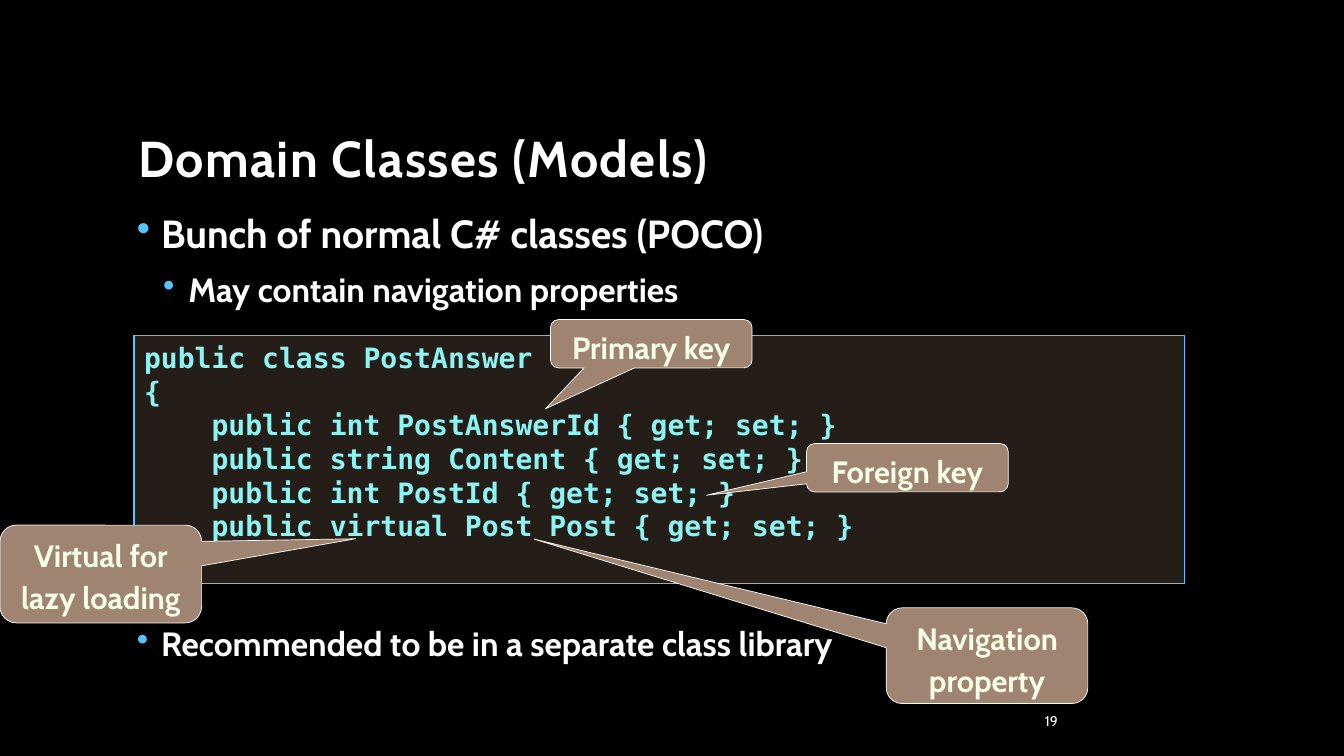
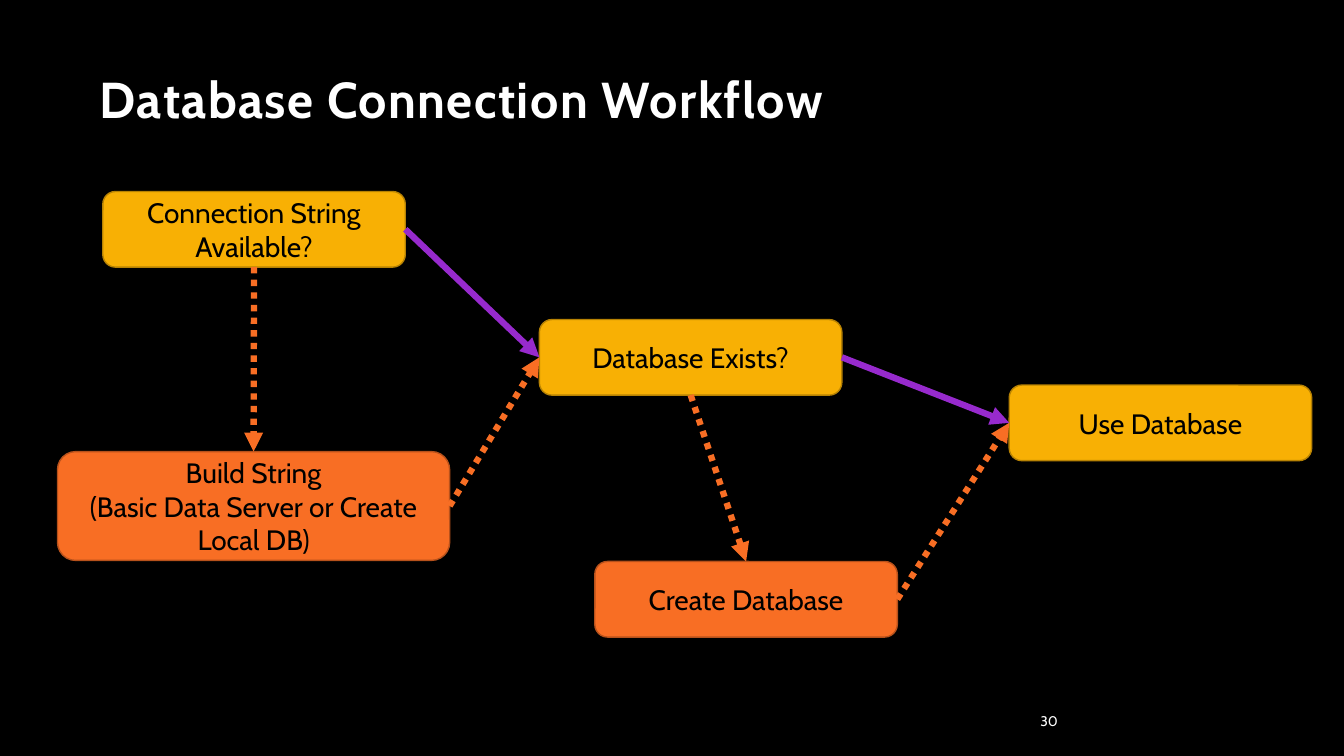
from lxml.etree import SubElement
from pptx import Presentation
from pptx.dml.color import RGBColor
from pptx.enum.dml import MSO_LINE as Dash
from pptx.enum.shapes import MSO_CONNECTOR as Link, MSO_SHAPE as Kind
from pptx.enum.text import MSO_ANCHOR as Anchor, MSO_AUTO_SIZE as Fit, PP_ALIGN as Align
from pptx.oxml.ns import qn
from pptx.util import Inches, Pt


class Theme:
    # Fonts
    sans, mono = "Cabin", "DejaVu Sans Mono"
    # Colours
    back, white, black = "000000", "FFFFFF", "000000"
    blue, cyan, peach = "56C5FF", "8CF4F2", "FCC5A7"
    tan, cream = "9F8471", "F7FFE7"
    gold, bronze = "F8B004", "B78203"
    orange, rust, purple = "F86E24", "B7511B", "972ACD"
    # Type sizes
    title, lead, body, call, node, page = 36, 28, 24, 22, 20, 10


TOP, LEFT, BOTTOM, RIGHT = range(4)

CODE = """public class PostAnswer
{
    public int PostAnswerId { get; set; }
    public string Content { get; set; }
    public int PostId { get; set; }
    public virtual Post Post { get; set; }
}"""


def rgb(tone):
    return RGBColor.from_string(tone)


def inches(*nums):
    return [Inches(n) for n in nums]


def write(para, text, size=Theme.body, face=Theme.sans, tone=Theme.white,
          bold=False, align=Align.LEFT, lead=None, before=None, track=None):
    """Fill one paragraph; a newline in the text is a line break."""
    para.text = text
    para.alignment = align
    if lead:
        para.line_spacing = lead
    if before:
        para.space_before = Pt(before)
    for run in para.runs:
        font = run.font
        font.name, font.size, font.bold = face, Pt(size), bold
        font.color.rgb = rgb(tone)
        if track:
            font._element.set("spc", str(track * 100))


def setup(frame, anchor=Anchor.TOP):
    frame.word_wrap = True
    frame.auto_size = Fit.NONE
    frame.vertical_anchor = anchor
    return frame


def text_box(slide, spot, anchor=Anchor.TOP):
    return setup(slide.shapes.add_textbox(*inches(*spot)).text_frame, anchor)


def shape(slide, kind, spot, fill, edge, width=1):
    item = slide.shapes.add_shape(kind, *inches(*spot))
    item.shadow.inherit = False
    item.fill.solid()
    item.fill.fore_color.rgb = rgb(fill)
    item.line.color.rgb = rgb(edge)
    item.line.width = Pt(width)
    return item


def start(deck, title, spot, page):
    """Add a slide with its title and page number."""
    slide = deck.slides.add_slide(deck.slide_layouts[5])
    head = slide.shapes.title
    head.left, head.top, head.width, head.height = inches(*spot)
    frame = setup(head.text_frame, Anchor.BOTTOM)
    write(frame.paragraphs[0], title, size=Theme.title, bold=True, lead=0.9, track=1)
    foot = text_box(slide, (9, 7, 1.59, 0.3), Anchor.MIDDLE)
    write(foot.paragraphs[0], page, size=Theme.page, align=Align.RIGHT)
    return slide


def bullets(slide, spot, rows):
    frame = text_box(slide, spot)
    for i, (text, size, left, hang, before) in enumerate(rows):
        para = frame.add_paragraph() if i else frame.paragraphs[0]
        props = para._p.get_or_add_pPr()
        props.set("marL", str(Inches(left)))
        props.set("indent", str(-Inches(hang)))
        SubElement(SubElement(props, qn("a:buClr")), qn("a:srgbClr"), val=Theme.blue)
        SubElement(props, qn("a:buChar"), char="•")
        write(para, text, size=size, bold=True, lead=0.9, before=before)


def code_box(slide, spot, code):
    box = shape(slide, Kind.RECTANGLE, spot, Theme.peach, Theme.blue)
    tint = box._element.spPr.find(qn("a:solidFill")).find(qn("a:srgbClr"))
    SubElement(tint, qn("a:alpha"), val="15000")
    frame = setup(box.text_frame)
    for i, line in enumerate(code.split("\n")):
        para = frame.add_paragraph() if i else frame.paragraphs[0]
        write(para, line, size=Theme.node, face=Theme.mono, tone=Theme.cyan, bold=True)


def callout(slide, text, spot, tip):
    box = shape(slide, Kind.ROUNDED_RECTANGULAR_CALLOUT, spot, Theme.tan, Theme.white, 0.5)
    for i, num in enumerate(tip):
        box.adjustments[i] = num
    frame = setup(box.text_frame)
    frame.margin_top = frame.margin_bottom = Inches(0.02)
    write(frame.paragraphs[0], text, size=Theme.call, tone=Theme.cream, bold=True,
          align=Align.CENTER, lead=Pt(30))


def node(slide, text, x, y, wide=3, high=0.75, fill=Theme.gold, edge=Theme.bronze):
    box = shape(slide, Kind.ROUNDED_RECTANGLE, (x, y, wide, high), fill, edge)
    frame = setup(box.text_frame, Anchor.MIDDLE)
    write(frame.paragraphs[0], text, size=Theme.node, tone=Theme.black, align=Align.CENTER)
    return box


def arrow(slide, tail, side, head, end, yes=False):
    """Join two nodes: solid for yes, dotted for no."""
    link = slide.shapes.add_connector(Link.STRAIGHT, 0, 0, 0, 0)
    link.begin_connect(tail, side)
    link.end_connect(head, end)
    link.line.width = Pt(4.5)
    link.line.color.rgb = rgb(Theme.purple if yes else Theme.orange)
    if not yes:
        link.line.dash_style = Dash.ROUND_DOT
    props = link._element.spPr
    SubElement(props.find(qn("a:ln")), qn("a:tailEnd"), type="triangle")
    SubElement(props, qn("a:effectLst"))


def models(deck):
    slide = start(deck, "Domain Classes (Models)", (1.27, 0.42, 10, 1.5), "19")
    # The last bullet sits below the code
    bullets(slide, (1.26, 2.08, 10.41, 4.5), [
        ("Bunch of normal C# classes (POCO)", Theme.lead, 0.24, 0.24, 0),
        ("May contain navigation properties", Theme.body, 0.51, 0.25, 12),
        ("Recommended to be in a separate class library", Theme.body, 0.24, 0.24, 227),
    ])
    code_box(slide, (1.33, 3.33, 10.42, 2.46), CODE)
    # Notes on the code
    for text, x, y, high, tip in [
        ("Primary key", 5.46, 3.17, 0.48, (-0.525, 1.345)),
        ("Foreign key", 8, 4.4, 0.48, (-0.996, 0.569)),
        ("Virtual for lazy loading", 0, 5.21, 0.97, (1.263, -0.36)),
        ("Navigation property", 8.79, 6.03, 0.95, (-2.247, -1.218)),
    ]:
        callout(slide, text, (x, y, 2, high), tip)


def workflow(deck):
    slide = start(deck, "Database Connection Workflow", (0.89, -0.17, 10, 1.5), "30")
    # Steps
    warm = dict(fill=Theme.orange, edge=Theme.rust)
    check = node(slide, "Connection String Available?", 1.02, 1.9)
    build = node(slide, "Build String\n(Basic Data Server or Create Local DB)",
                 0.57, 4.48, 3.89, 1.08, **warm)
    exists = node(slide, "Database Exists?", 5.35, 3.17)
    create = node(slide, "Create Database", 5.9, 5.57, **warm)
    use = node(slide, "Use Database", 10.01, 3.82)
    # Links
    arrow(slide, check, BOTTOM, build, TOP)
    arrow(slide, build, RIGHT, exists, LEFT)
    arrow(slide, check, RIGHT, exists, LEFT, yes=True)
    arrow(slide, exists, BOTTOM, create, TOP)
    arrow(slide, exists, RIGHT, use, LEFT, yes=True)
    arrow(slide, create, RIGHT, use, LEFT)


def main():
    deck = Presentation()
    deck.slide_width, deck.slide_height = inches(13.33, 7.5)
    # Shared background
    fill = deck.slide_master.background.fill
    fill.solid()
    fill.fore_color.rgb = rgb(Theme.back)
    models(deck)
    workflow(deck)
    deck.save("out.pptx")


if __name__ == "__main__":
    main()
